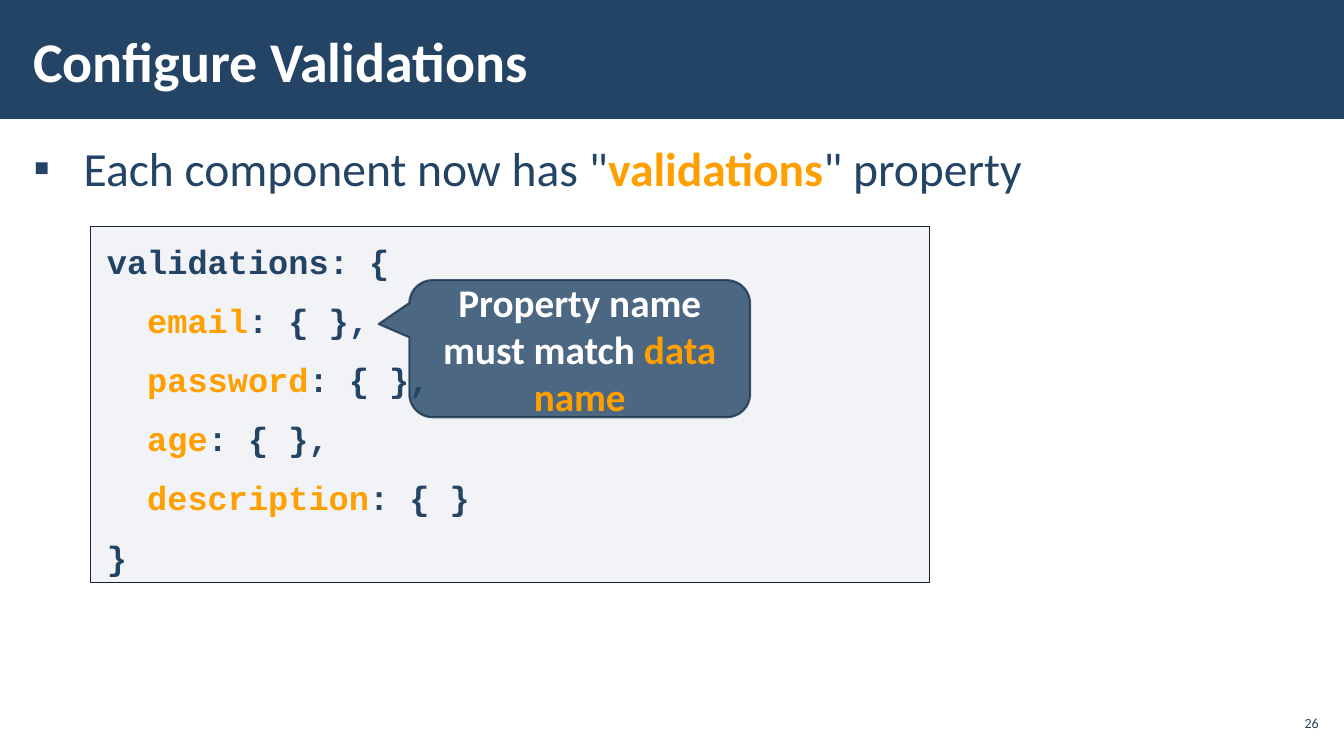
from lxml import etree
from pptx import Presentation
from pptx import util as u
from pptx.dml.color import RGBColor
from pptx.enum import shapes, text
from pptx.oxml.ns import qn

PX = 9144
NAVY, ORANGE, WHITE = "234465", "FFA000", "FFFFFF"
FIELDS = ["email", "password", "age", "description"]


def color(value):
    return RGBColor.from_string(value)


def assign(target, values):
    for name, value in values.items():
        setattr(target, name, value)


class SlideBuilder:
    """Hold the style and current slide, and add its elements."""

    def __init__(self, deck):
        self.font = "Calibri"
        self.page = deck.slides.add_slide(deck.slide_layouts[6])

    def opacity(self, fill, percent):
        solid = fill._xPr.find(qn("a:solidFill"))
        etree.SubElement(solid[0], qn("a:alpha"), val=str(percent * 1000))

    def shape(self, kind, bounds, fill, opacity=100, line=None, width=1, line_opacity=100):
        box = self.page.shapes.add_shape(kind, *(n * PX for n in bounds))
        box.shadow.inherit = False
        box.fill.solid()
        box.fill.fore_color.rgb = color(fill)
        self.opacity(box.fill, opacity)
        if line:
            box.line.color.rgb = color(line)
            box.line.width = u.Pt(width)
            self.opacity(box.line.fill, line_opacity)
        else:
            box.line.fill.background()
        return box

    def textbox(self, bounds):
        return self.page.shapes.add_textbox(*(n * PX for n in bounds))

    def add_lines(self, box, lines, size, insets=(10, 5), font=None, bold=False,
                  frame_format=None, para_format=None):
        frame = box.text_frame
        across, down = (n * PX for n in insets)
        assign(frame, {"word_wrap": True, "margin_left": across, "margin_right": across,
                       "margin_top": down, "margin_bottom": down, **(frame_format or {})})
        for index, spans in enumerate(lines):
            para = frame.paragraphs[0] if index == 0 else frame.add_paragraph()
            assign(para, {"alignment": text.PP_ALIGN.LEFT, **(para_format or {})})
            for words, tint in spans:
                span = para.add_run()
                span.text = words
                assign(span.font, {"name": font or self.font, "size": u.Pt(size),
                                   "bold": bold or tint == ORANGE})
                span.font.color.rgb = color(tint)
        return frame.paragraphs

    def indent(self, para, left, first=0, bullet=None):
        props = para._p.get_or_add_pPr()
        props.set("marL", str(left * PX))
        props.set("indent", str(first * PX))
        if bullet:
            etree.SubElement(props, qn("a:buFont"), typeface="Arial")
            etree.SubElement(props, qn("a:buChar"), char=bullet)


def main():
    deck = Presentation()
    assign(deck, {"slide_width": 1333 * PX, "slide_height": 750 * PX})
    slide = SlideBuilder(deck)
    kinds = shapes.MSO_SHAPE
    middle = {"vertical_anchor": text.MSO_ANCHOR.MIDDLE}
    spaced = {"line_spacing": 1.05, "space_before": u.Pt(6), "space_after": u.Pt(6)}

    slide.shape(kinds.RECTANGLE, (0, -2, 1334, 120), NAVY)

    statement = [('Each component now has "', NAVY), ("validations", ORANGE), ('" property', NAVY)]
    paras = slide.add_lines(slide.textbox((21, 131, 1292, 567)), [statement], 34,
                            insets=(12, 4), para_format=spaced)
    slide.indent(paras[0], 50, -50, "▪")

    code = slide.shape(kinds.RECTANGLE, (90, 225, 832, 353), "ADB4C3", 15, "112233")
    endings = [": { },"] * (len(FIELDS) - 1) + [": { }"]
    entries = [[(field, ORANGE), (ending, NAVY)] for field, ending in zip(FIELDS, endings)]
    paras = slide.add_lines(code, [[("validations: {", NAVY)], *entries, [("}", NAVY)]], 24,
                            insets=(16, 12), font="Courier New", bold=True, para_format=spaced,
                            frame_format={"vertical_anchor": text.MSO_ANCHOR.TOP,
                                          "auto_size": text.MSO_AUTO_SIZE.SHAPE_TO_FIT_TEXT})
    for para in paras[1:-1]:
        slide.indent(para, 40)

    slide.add_lines(slide.textbox((21, 11, 1040, 97)), [[("Configure Validations", WHITE)]], 40,
                    insets=(12, 4), bold=True, frame_format=middle)
    slide.add_lines(slide.textbox((1265, 700, 47, 34)), [[("26", NAVY)]], 10, insets=(4, 4),
                    frame_format=middle, para_format={"alignment": text.PP_ALIGN.RIGHT})

    callout = slide.shape(kinds.ROUNDED_RECTANGULAR_CALLOUT, (406, 278, 338, 136), NAVY, 80,
                          "1A334C", 1.5, 80)
    for index, value in enumerate((-0.59, -0.18, 0.17)):
        callout.adjustments[index] = value
    slide.add_lines(callout, [[("Property name must match ", WHITE), ("data name", ORANGE)]], 28,
                    bold=True, frame_format=middle,
                    para_format={"alignment": text.PP_ALIGN.CENTER})

    deck.save("out.pptx")


if __name__ == "__main__":
    main()
